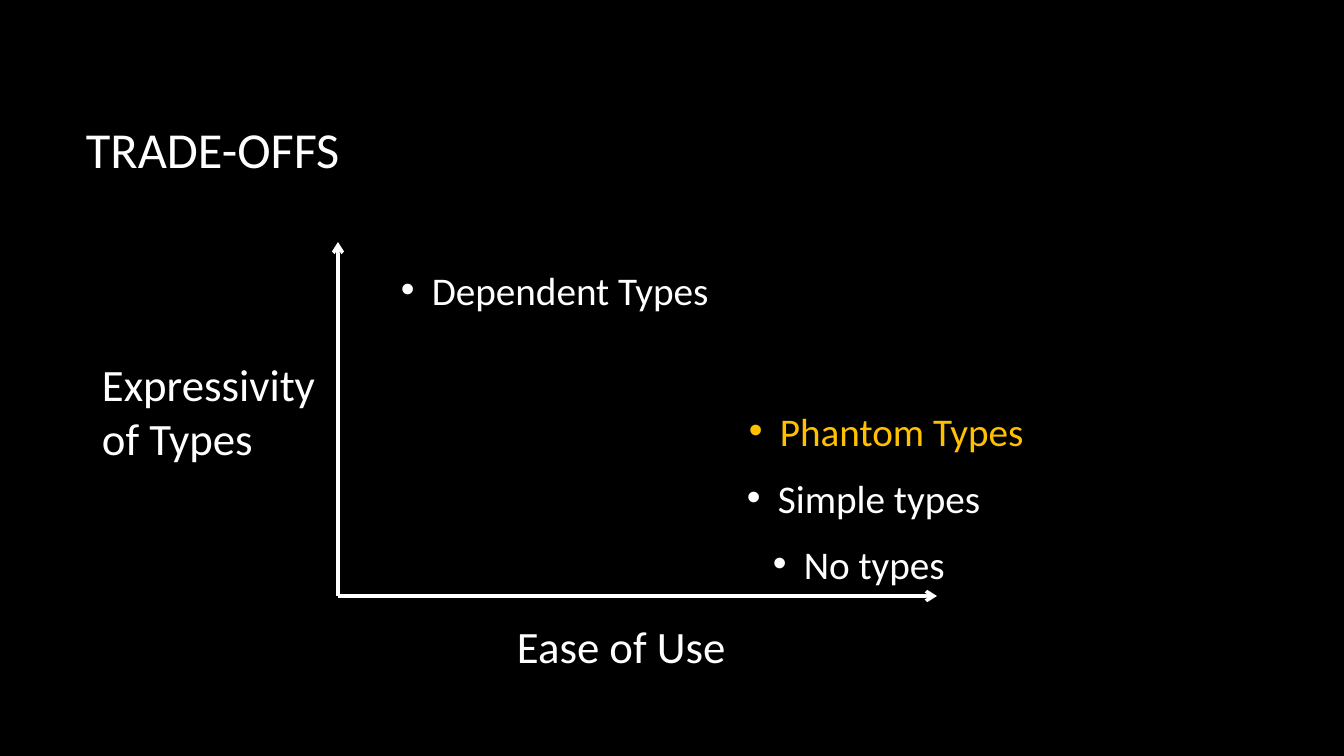
from lxml import etree
from pptx import Presentation
from pptx.dml.color import RGBColor
from pptx.enum.shapes import MSO_CONNECTOR
from pptx.enum.text import MSO_ANCHOR, MSO_AUTO_SIZE
from pptx.oxml.ns import qn
from pptx.util import Pt

BLACK = RGBColor(0x00, 0x00, 0x00)
WHITE = RGBColor(0xFF, 0xFF, 0xFF)
GOLD = RGBColor(0xFF, 0xC0, 0x00)
STRAIGHT = MSO_CONNECTOR.STRAIGHT
MIDDLE = MSO_ANCHOR.MIDDLE
GROW = MSO_AUTO_SIZE.SHAPE_TO_FIT_TEXT

SLIDE_W, SLIDE_H = 1344, 756
EMU_PER_PX = 12192000 / SLIDE_W
FONT = "Calibri"
BULLET_INDENT = 31


def px(n):
    return round(n * EMU_PER_PX)


class Canvas:
    def __init__(self, prs):
        self.s = prs.slides.add_slide(prs.slide_layouts[6])
        fill = self.s.background.fill
        fill.solid()
        fill.fore_color.rgb = BLACK

    def text(self, x, y, w, h, lines, size, color=WHITE, bullet=False):
        """Add a box that grows with its unwrapped lines, one paragraph each."""
        tf = self.s.shapes.add_textbox(px(x), px(y), px(w), px(h)).text_frame
        tf.word_wrap = False
        tf.auto_size = GROW
        for i, line in enumerate(lines):
            p = tf.paragraphs[0] if i == 0 else tf.add_paragraph()
            if bullet:
                self.add_bullet(p)
            r = p.add_run()
            r.text = line
            r.font.name = FONT
            r.font.size = Pt(size)
            r.font.color.rgb = color
        return tf

    def add_bullet(self, p):
        pPr = p._p.get_or_add_pPr()
        pPr.set("marL", str(px(BULLET_INDENT)))
        pPr.set("indent", str(-px(BULLET_INDENT)))
        etree.SubElement(pPr, qn("a:buFont"), typeface="Arial")
        etree.SubElement(pPr, qn("a:buChar"), char="•")

    def title(self, x, y, w, h, line):
        tf = self.text(x, y, w, h, [line], 36)
        tf.auto_size = MSO_AUTO_SIZE.NONE
        tf.word_wrap = True
        tf.vertical_anchor = MIDDLE

    def axis(self, x1, y1, x2, y2):
        c = self.s.shapes.add_connector(STRAIGHT, px(x1), px(y1), px(x2), px(y2))
        c.line.color.rgb = WHITE
        c.line.width = Pt(2.5)
        etree.SubElement(c.line._get_or_add_ln(), qn("a:tailEnd"), type="arrow")
        etree.SubElement(c._element.spPr, qn("a:effectLst"))


def main():
    prs = Presentation()
    prs.slide_width, prs.slide_height = px(SLIDE_W), px(SLIDE_H)
    canvas = Canvas(prs)

    canvas.title(76, 68, 1117, 160, "TRADE-OFFS")

    origin = (338, 596)
    for tip in [(338, 242), (937, 596)]:
        canvas.axis(*origin, *tip)
    canvas.text(507, 614, 231, 64, ["Ease of Use"], 32)
    canvas.text(92, 352, 246, 119, ["Expressivity", "of Types"], 32)

    type_systems = [
        (391, 261, 332, "Dependent Types", WHITE),
        (737, 469, 257, "Simple types", WHITE),
        (763, 535, 195, "No types", WHITE),
        (739, 402, 298, "Phantom Types", GOLD),
    ]
    for x, y, w, name, color in type_systems:
        canvas.text(x, y, w, 57, [name], 28, color, bullet=True)

    prs.save("out.pptx")


if __name__ == "__main__":
    main()
